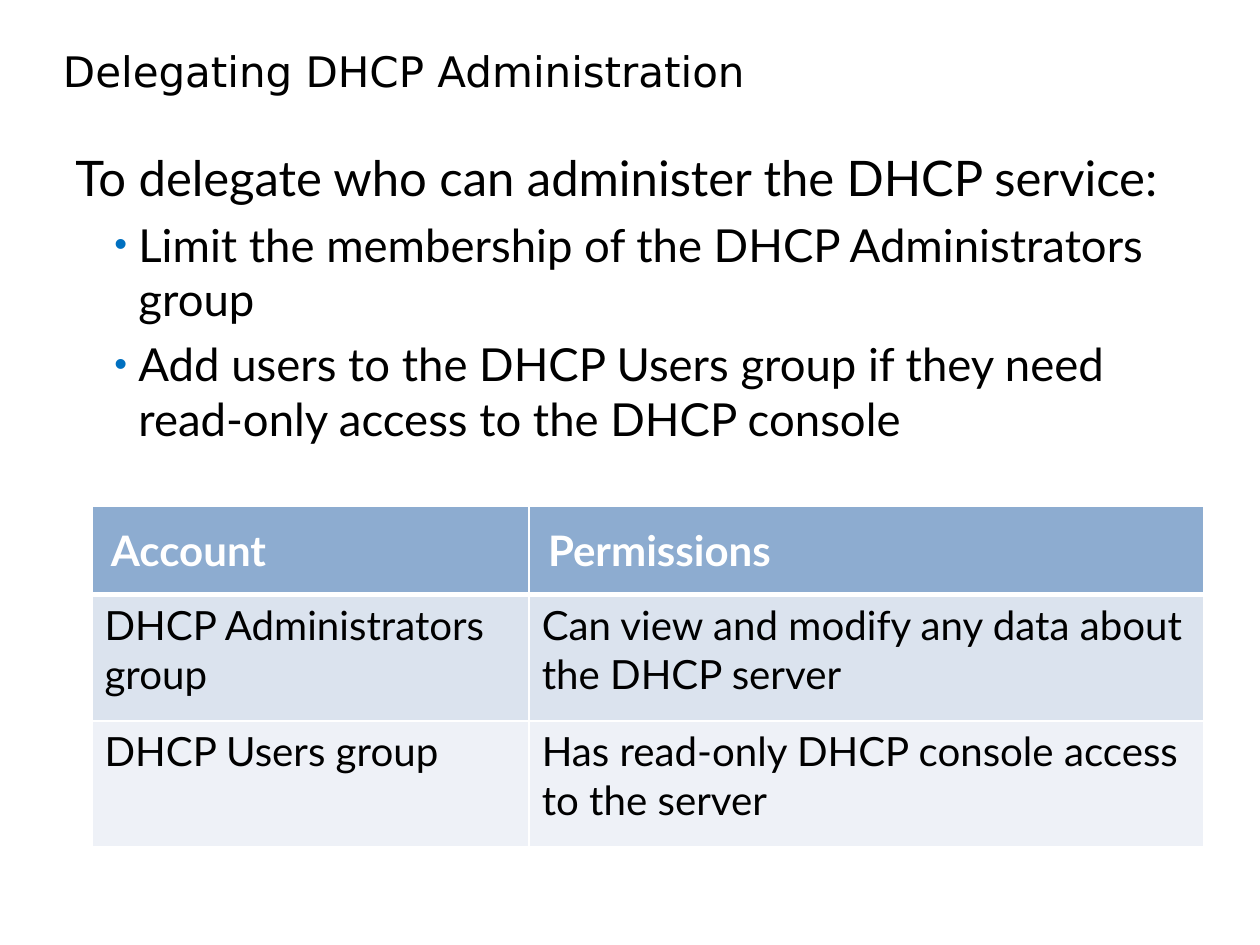
from lxml.etree import SubElement
from pptx import Presentation
from pptx.dml.color import RGBColor
from pptx.enum.text import MSO_ANCHOR
from pptx.oxml.ns import qn
from pptx.util import Inches, Pt

COLORS = {
    "text": "000000",
    "white": "FFFFFF",
    "bullet": "0070C0",
    "head": "8DACD0",
    "odd": "DBE3EE",
    "even": "EEF1F7",
}
BODY = [
    ("To delegate who can administer the DHCP service:", 28, False),
    ("Limit the membership of the DHCP Administrators group", 26, True),
    ("Add users to the DHCP Users group if they need read-only access to the DHCP console", 26, True),
]
ROWS = [
    ("Account", "Permissions"),
    ("DHCP Administrators group", "Can view and modify any data about the DHCP server"),
    ("DHCP Users group", "Has read-only DHCP console access to the server"),
]
WIDTHS = (3.47, 5.35)
HEIGHTS = (0.62, 1, 1)


def color(name):
    return RGBColor.from_string(COLORS[name])


def write(para, text, size=24, font="Lato", fill="text", bold=False, before=0, line=None):
    run = para.add_run()
    run.text = text
    run.font.size = Pt(size)
    run.font.name = font
    run.font.bold = bold
    run.font.color.rgb = color(fill)
    para.space_before = Pt(before)
    if line:
        para.line_spacing = line


def add_box(slide, left, top, width, height):
    box = slide.shapes.add_textbox(Inches(left), Inches(top), Inches(width), Inches(height))
    box.text_frame.word_wrap = True
    return box.text_frame


def add_bullet(para):
    para.level = 1
    props = para._p.get_or_add_pPr()
    props.set("marL", str(Inches(0.5)))
    props.set("indent", str(Inches(-0.19)))
    tint = SubElement(props, qn("a:buClr"))
    SubElement(tint, qn("a:srgbClr"), val=COLORS["bullet"])
    SubElement(props, qn("a:buSzPct"), val="80000")
    SubElement(props, qn("a:buFont"), typeface="Arial")
    SubElement(props, qn("a:buChar"), char="•")


def add_edges(cell, base):
    props = cell._tc.get_or_add_tcPr()
    for side, width in (("L", 1), ("R", 1), ("T", 1), ("B", base)):
        line = SubElement(props, qn(f"a:ln{side}"), w=str(Pt(width)))
        solid = SubElement(line, qn("a:solidFill"))
        SubElement(solid, qn("a:srgbClr"), val=COLORS["white"])


def fill_cell(cell, text, row):
    head = row == 0
    add_edges(cell, 3 if head else 1)
    cell.fill.solid()
    cell.fill.fore_color.rgb = color(("head", "odd", "even")[row])
    if head:
        cell.margin_left = cell.margin_right = Inches(0.15)
        cell.margin_top = cell.margin_bottom = Inches(0.15)
    write(cell.text_frame.paragraphs[0], text, size=24 if head else 23,
          fill="white" if head else "text", bold=head)


def add_title(slide):
    frame = add_box(slide, 0.5, 0, 8.5, 0.81)
    frame.margin_left = 0
    frame.vertical_anchor = MSO_ANCHOR.BOTTOM
    write(frame.paragraphs[0], "Delegating DHCP Administration", font="DejaVu Sans", line=0.85)


def add_body(slide):
    frame = add_box(slide, 0.5, 1.12, 8.88, 5.63)
    for i, (text, size, bullet) in enumerate(BODY):
        para = frame.add_paragraph() if i else frame.paragraphs[0]
        write(para, text, size=size, before=6)
        if bullet:
            add_bullet(para)


def add_grid(slide):
    table = slide.shapes.add_table(
        len(ROWS), len(WIDTHS), Inches(0.73), Inches(4.02),
        Inches(sum(WIDTHS)), Inches(sum(HEIGHTS))).table
    for col, width in zip(table.columns, WIDTHS):
        col.width = Inches(width)
    for r, texts in enumerate(ROWS):
        table.rows[r].height = Inches(HEIGHTS[r])
        for c, text in enumerate(texts):
            fill_cell(table.cell(r, c), text, r)


def main():
    deck = Presentation()
    deck.slide_width = Inches(10)
    deck.slide_height = Inches(7.5)
    slide = deck.slides.add_slide(deck.slide_layouts[6])
    add_title(slide)
    add_body(slide)
    add_grid(slide)
    deck.save("out.pptx")


if __name__ == "__main__":
    main()
